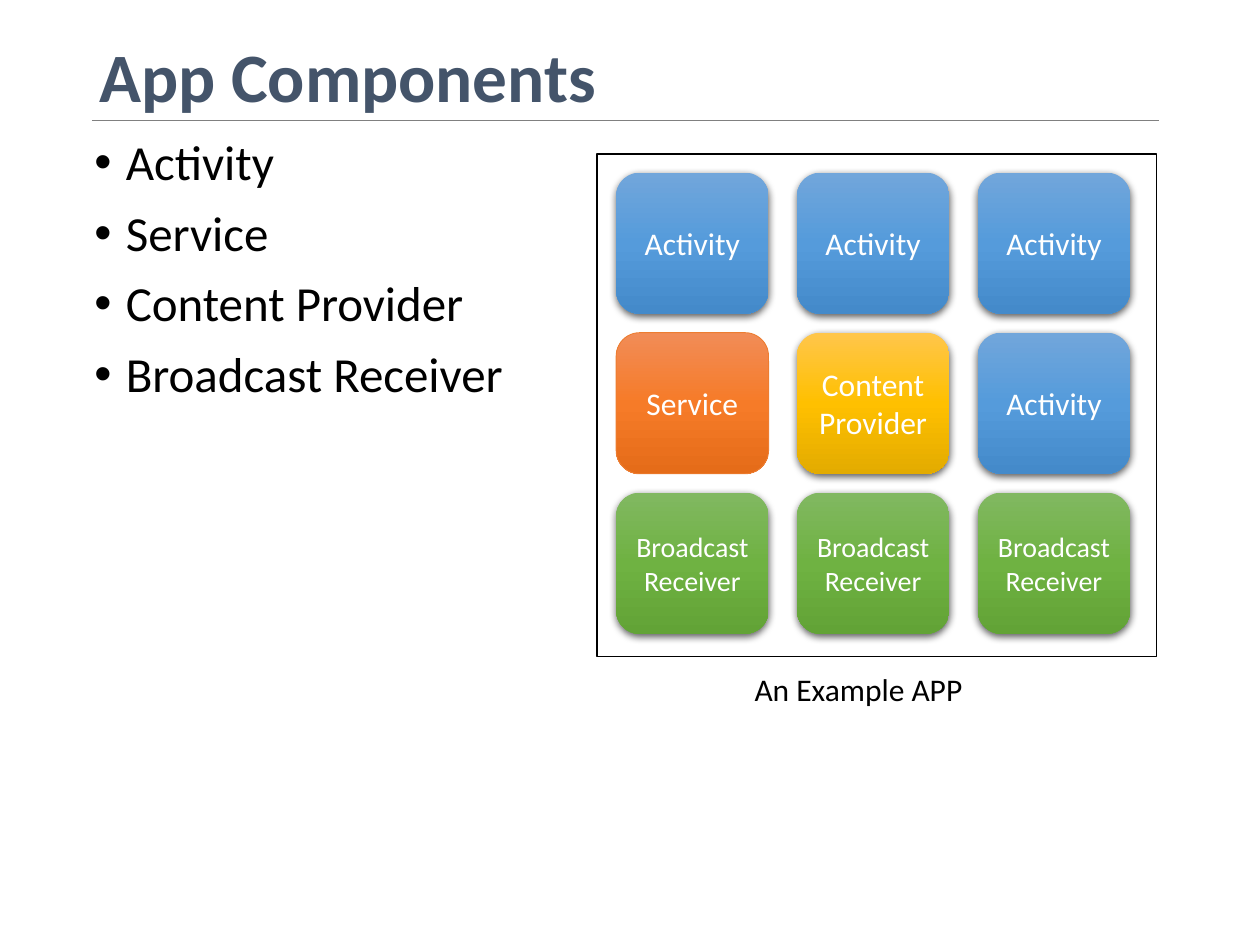
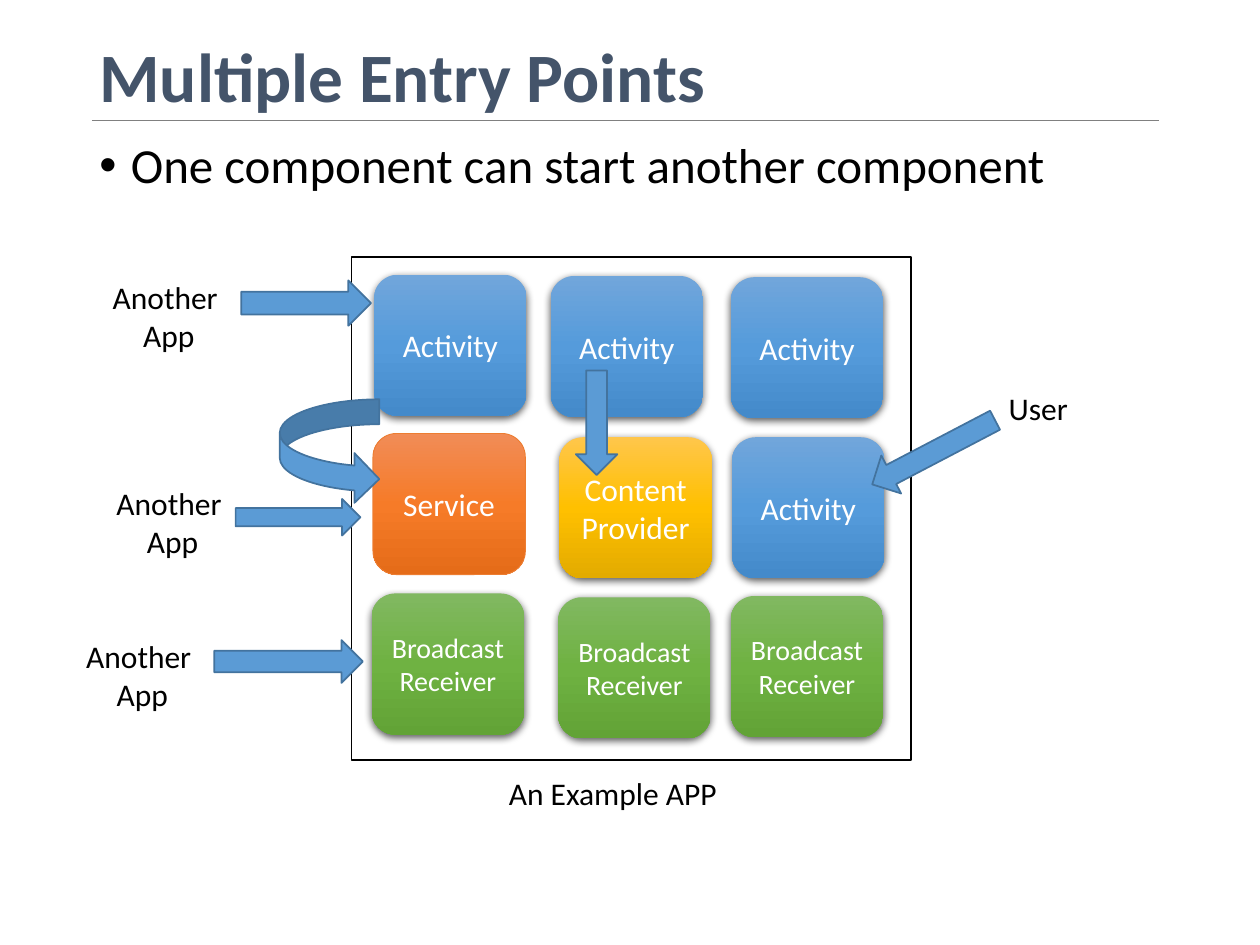
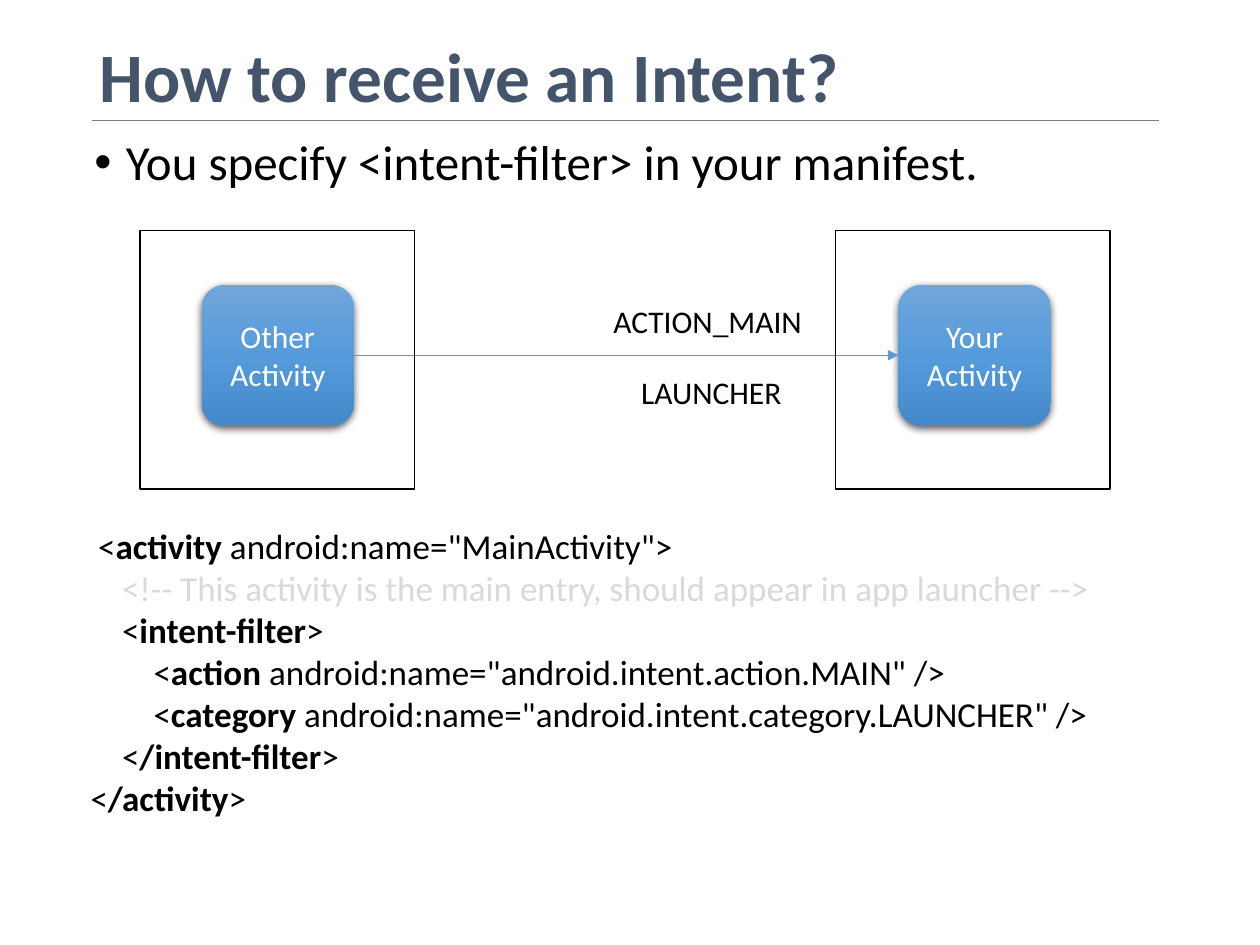
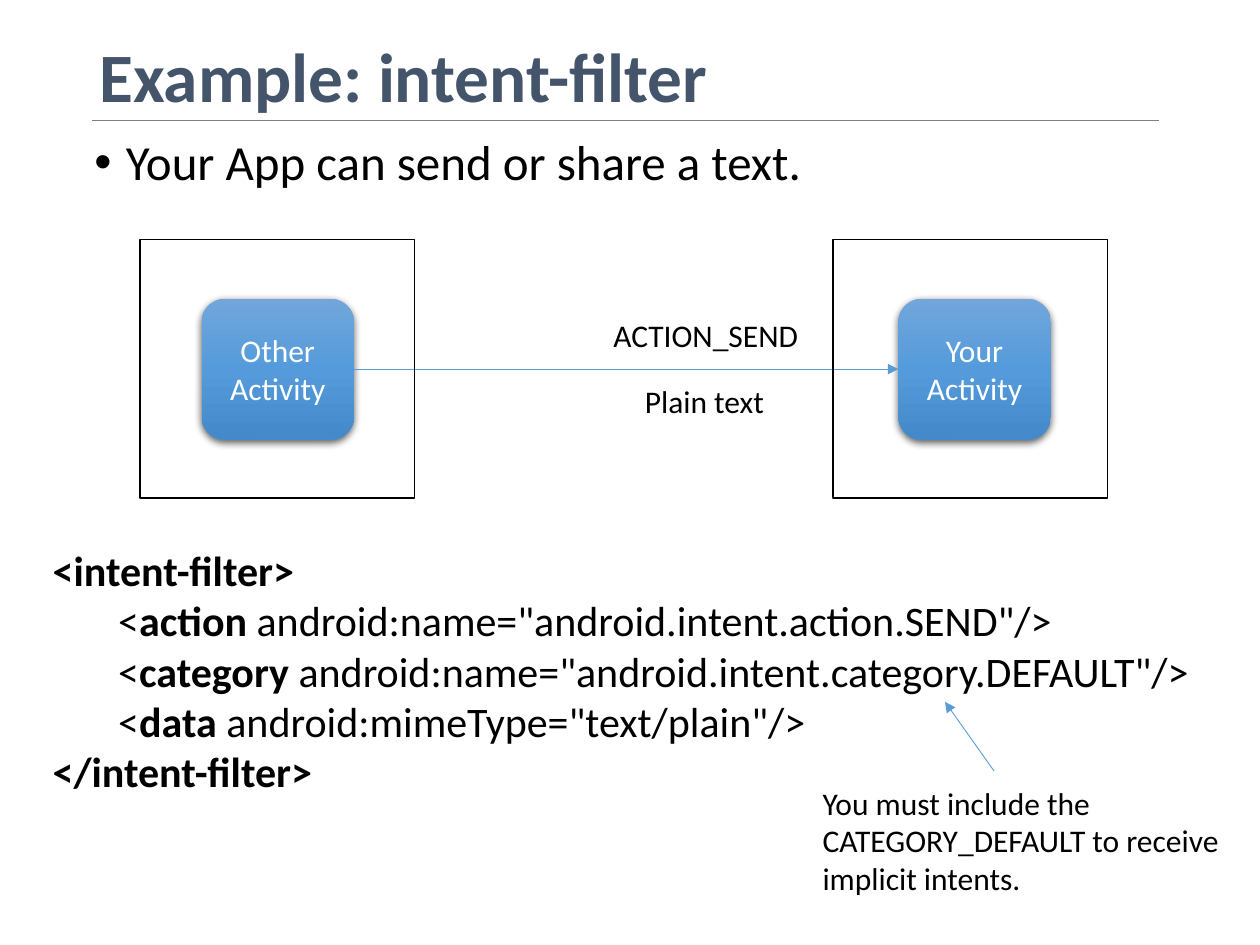
import lxml.etree
import pptx
import pptx.dml.color
import pptx.enum.dml
import pptx.enum.shapes
import pptx.enum.text
import pptx.oxml.ns
import pptx.util

Inches = pptx.util.Inches
Pt = pptx.util.Pt
qn = pptx.oxml.ns.qn
PRESETS = pptx.enum.shapes.MSO_SHAPE
ALIGN = pptx.enum.text.PP_ALIGN
ANCHOR = pptx.enum.text.MSO_ANCHOR
STRAIGHT = pptx.enum.shapes.MSO_CONNECTOR.STRAIGHT

FONT = "Calibri"
COLORS = {
    "title": "44546A", "rule": "808080", "text": "000000", "tile_text": "FFFFFF",
    "arrow": "5B9BD5", "arrow_edge": "43739E", "service_edge": "ED7D31",
    "comment": "D9D9D9",
}
GRADIENTS = {
    "activity": ("71A6DB", "559BDB", "448ACA"),
    "service": ("F18C57", "F67B28", "E56C19"),
    "provider": ("FFC64B", "FFC000", "E3AB00"),
    "receiver": ("81B861", "6FB242", "62A336"),
}
TILE_W, TILE_H = 1.21, 1.12
APP_W, APP_H = 4.44, 3.99
SCREEN_W, SCREEN_H = 2.18, 2.05

TILE_TEXT = {
    "activity": ("Activity", 18),
    "service": ("Service", 18),
    "provider": ("Content\nProvider", 18),
    "receiver": ("Broadcast Receiver", 16),
}
APP_TILES = [
    "activity", "activity", "activity",
    "service", "provider", "activity",
    "receiver", "receiver", "receiver",
]
APP_CAPTION = "An Example APP"

COMPONENTS = ["Activity", "Service", "Content Provider", "Broadcast Receiver"]
GRID_PLACES = [(4.89 + 1.435 * col, 1.37 + 1.27 * row)
               for row in range(3) for col in range(3)]

ENTRY_PLACES = [
    (2.97, 2.18), (4.37, 2.19), (5.8, 2.2),
    (2.96, 3.44), (4.44, 3.47), (5.81, 3.47),
    (2.95, 4.71), (4.43, 4.74), (5.8, 4.73),
]
ENTRY_ARROWS = [
    (PRESETS.DOWN_ARROW, 7.24, 3.04, 0.34, 1.1, 62.4),
    (PRESETS.DOWN_ARROW, 2.25, 1.89, 0.36, 1.03, 270),
    (PRESETS.CURVED_RIGHT_ARROW, 2.22, 3.17, 0.79, 0.83, 0),
    (PRESETS.DOWN_ARROW, 2.12, 4.66, 0.34, 1.18, 270),
    (PRESETS.DOWN_ARROW, 4.57, 2.94, 0.33, 0.83, 0),
    (PRESETS.RIGHT_ARROW, 1.87, 3.96, 0.99, 0.29, 0),
]
ENTRY_CALLERS = [
    ("User", 7.9, 3.04, 0.68, 0.4),
    ("Another \nApp", 0.79, 2.16, 1.1, 0.71),
    ("Another \nApp", 0.82, 3.79, 1.1, 0.71),
    ("Another \nApp", 0.58, 5.01, 1.1, 0.71),
]

# Asterisks switch bold on and off; the first number is the indent.
MAIN_MANIFEST = [
    (0.06, '<*activity *android:name="MainActivity">', "text"),
    (0.25, "<!-- This activity is the main entry, should appear in app launcher -->", "comment"),
    (0.25, "<*intent-filter*>", "text"),
    (0.5, '<*action *android:name="android.intent.action.MAIN" />', "text"),
    (0.5, '<*category *android:name="android.intent.category.LAUNCHER" />', "text"),
    (0.25, "<*/intent-filter*>", "text"),
    (0, "<*/activity*>", "text"),
]
SEND_MANIFEST = [
    (0.08, "*<intent-filter>*", "text"),
    (0.6, '<*action *android:name="android.intent.action.SEND"/>', "text"),
    (0.6, '<*category *android:name="android.intent.category.DEFAULT"/>', "text"),
    (0.6, '<*data *android:mimeType="text/plain"/>', "text"),
    (0.08, "*</intent-filter>*", "text"),
]
INTENT_SLIDES = [
    {
        "title": "How to receive an Intent?",
        "point": "You specify <intent-filter> in your manifest.",
        "screens_top": 1.83, "your_screen_left": 6.63, "tiles_top": 2.26,
        "labels": [("ACTION_MAIN", 4.77, 2.35, 1.71, 0.4),
                   ("LAUNCHER", 4.99, 2.91, 1.33, 0.4)],
        "manifest": MAIN_MANIFEST, "manifest_at": (0.62, 4.11, 8.41, 2.46),
        "manifest_size": 20,
    },
    {
        "title": "Example: intent-filter",
        "point": "Your App can send or share a text.",
        "screens_top": 1.9, "your_screen_left": 6.61, "tiles_top": 2.37,
        "labels": [("ACTION_SEND", 4.77, 2.46, 1.68, 0.4),
                   ("Plain text", 5.02, 2.98, 1.16, 0.4)],
        "manifest": SEND_MANIFEST, "manifest_at": (0.24, 4.27, 9.54, 2.12),
        "manifest_size": 24,
    },
]
DEFAULT_NOTE = "You must include the CATEGORY_DEFAULT to receive implicit intents."


def rgb(name):
    return pptx.dml.color.RGBColor.from_string(COLORS[name])


def inches(*lengths):
    return [Inches(length) for length in lengths]


def style(paragraph, size, color="text", bold=None, align=None):
    paragraph.font.name = FONT
    paragraph.font.size = Pt(size)
    paragraph.font.color.rgb = rgb(color)
    paragraph.font.bold = bold
    paragraph.alignment = align


def add_text(slide, text, left, top, width, height, size=18, wrap=False, **look):
    box = slide.shapes.add_textbox(*inches(left, top, width, height))
    frame = box.text_frame
    frame.word_wrap = wrap
    frame.text = text
    for paragraph in frame.paragraphs:
        style(paragraph, size, **look)
    return frame


def add_line(slide, start, end, color, arrow=False):
    line = slide.shapes.add_connector(STRAIGHT, *inches(*start, *end))
    line.line.color.rgb = rgb(color)
    line.line.width = Pt(0.5)
    properties = line._element.spPr
    if arrow:
        lxml.etree.SubElement(properties.find(qn("a:ln")), qn("a:tailEnd"), type="triangle")
    lxml.etree.SubElement(properties, qn("a:effectLst"))
    return line


def add_slide(deck, title, points, body_at=(0.65, 1.05)):
    slide = deck.slides.add_slide(deck.slide_layouts[6])
    body = add_text(slide, "\n".join(points), *body_at, 8.52, 5.68, size=28, wrap=True)
    for point in body.paragraphs:
        point.line_spacing = 0.9
        point.space_before = Pt(10)
        properties = point._p.get_or_add_pPr()
        properties.set("marL", str(Inches(0.25)))
        properties.set("indent", str(-Inches(0.25)))
        lxml.etree.SubElement(properties, qn("a:buFont"), typeface="Arial")
        lxml.etree.SubElement(properties, qn("a:buChar"), char="•")
        properties.append(properties.find(qn("a:defRPr")))
    heading = add_text(slide, title, 0.69, 0.4, 8.62, 0.47, size=39.6, wrap=True,
                       color="title", bold=True)
    heading.vertical_anchor = ANCHOR.MIDDLE
    heading.paragraphs[0].line_spacing = 0.9
    add_line(slide, (0.73, 0.96), (9.2, 0.96), "rule")
    return slide


def add_frame(slide, left, top, width, height):
    frame = slide.shapes.add_shape(PRESETS.RECTANGLE, *inches(left, top, width, height))
    frame.shadow.inherit = False
    frame.fill.background()
    frame.line.color.rgb = rgb("text")
    frame.line.width = Pt(1)


def add_tile(slide, kind, left, top, text=None):
    tile = slide.shapes.add_shape(PRESETS.ROUNDED_RECTANGLE,
                                  *inches(left, top, TILE_W, TILE_H))
    tile.fill.gradient()
    tile.fill.gradient_angle = 270
    properties = tile._element.spPr
    stops = properties.find(".//" + qn("a:gsLst"))
    for stop in list(stops):
        stops.remove(stop)
    for position, color in zip((0, 50000, 100000), GRADIENTS[kind]):
        stop = lxml.etree.SubElement(stops, qn("a:gs"), pos=str(position))
        lxml.etree.SubElement(stop, qn("a:srgbClr"), val=color)
    tile.shadow.inherit = False
    if kind == "service":
        tile.line.color.rgb = rgb("service_edge")
        tile.line.width = Pt(0.5)
    else:
        tile.line.fill.background()
        shadow = lxml.etree.SubElement(
            properties.find(qn("a:effectLst")), qn("a:outerShdw"),
            blurRad=str(Pt(4.5)), dist=str(Pt(1.5)), dir="5400000", rotWithShape="0")
        shade = lxml.etree.SubElement(shadow, qn("a:srgbClr"), val="000000")
        lxml.etree.SubElement(shade, qn("a:alpha"), val="63000")
    label, size = TILE_TEXT[kind]
    tile.text_frame.text = text or label
    tile.text_frame.vertical_anchor = ANCHOR.MIDDLE
    for paragraph in tile.text_frame.paragraphs:
        style(paragraph, size, "tile_text", align=ALIGN.CENTER)
    return tile


def add_app(slide, frame_at, places, caption_at):
    add_frame(slide, *frame_at, APP_W, APP_H)
    for kind, place in zip(APP_TILES, places):
        add_tile(slide, kind, *place)
    add_text(slide, APP_CAPTION, *caption_at, 1.87, 0.4)


def add_block_arrow(slide, preset, left, top, width, height, rotation):
    arrow = slide.shapes.add_shape(preset, *inches(left, top, width, height))
    arrow.rotation = rotation
    arrow.shadow.inherit = False
    arrow.fill.solid()
    arrow.fill.fore_color.rgb = rgb("arrow")
    arrow.line.color.rgb = rgb("arrow_edge")
    arrow.line.width = Pt(1)


def add_manifest(slide, lines, at, size):
    frame = add_text(slide, "", *at, wrap=True)
    for number, (indent, markup, color) in enumerate(lines):
        paragraph = frame.add_paragraph() if number else frame.paragraphs[0]
        style(paragraph, size, color)
        paragraph._p.get_or_add_pPr().set("marL", str(Inches(indent)))
        for part, text in enumerate(markup.split("*")):
            if text:
                run = paragraph.add_run()
                run.text = text
                run.font.bold = part % 2 == 1


def add_intent_slide(deck, content):
    slide = add_slide(deck, content["title"], [content["point"]])
    other = add_tile(slide, "activity", 1.6, content["tiles_top"], "Other\nActivity")
    yours = add_tile(slide, "activity", 7.13, content["tiles_top"], "Your\nActivity")
    middle = content["tiles_top"] + TILE_H / 2
    intent = add_line(slide, (1.6 + TILE_W, middle), (7.13, middle), "arrow", arrow=True)
    intent.begin_connect(other, 3)
    intent.end_connect(yours, 1)
    for left in (content["your_screen_left"], 1.11):
        add_frame(slide, left, content["screens_top"], SCREEN_W, SCREEN_H)
    add_manifest(slide, content["manifest"], content["manifest_at"], content["manifest_size"])
    for label in content["labels"]:
        add_text(slide, *label)
    return slide


def main():
    deck = pptx.Presentation()
    deck.slide_width, deck.slide_height = inches(10, 7.5)

    components = add_slide(deck, "App Components", COMPONENTS)
    add_app(components, (4.74, 1.22), GRID_PLACES, (5.89, 5.27))

    entries = add_slide(deck, "Multiple Entry Points",
                        ["One component can start another component"], (0.69, 1.07))
    add_app(entries, (2.79, 2.04), ENTRY_PLACES, (3.94, 6.09))
    for arrow in ENTRY_ARROWS:
        add_block_arrow(entries, *arrow)
    for caller in ENTRY_CALLERS:
        add_text(entries, *caller, align=ALIGN.CENTER)

    for content in INTENT_SLIDES:
        intent_slide = add_intent_slide(deck, content)
    add_line(intent_slide, (7.89, 6.12), (7.5, 5.57), "arrow", arrow=True)
    add_text(intent_slide, DEFAULT_NOTE, 6.43, 6.17, 3.37, 1.01, wrap=True)

    deck.save("out.pptx")


if __name__ == "__main__":
    main()
